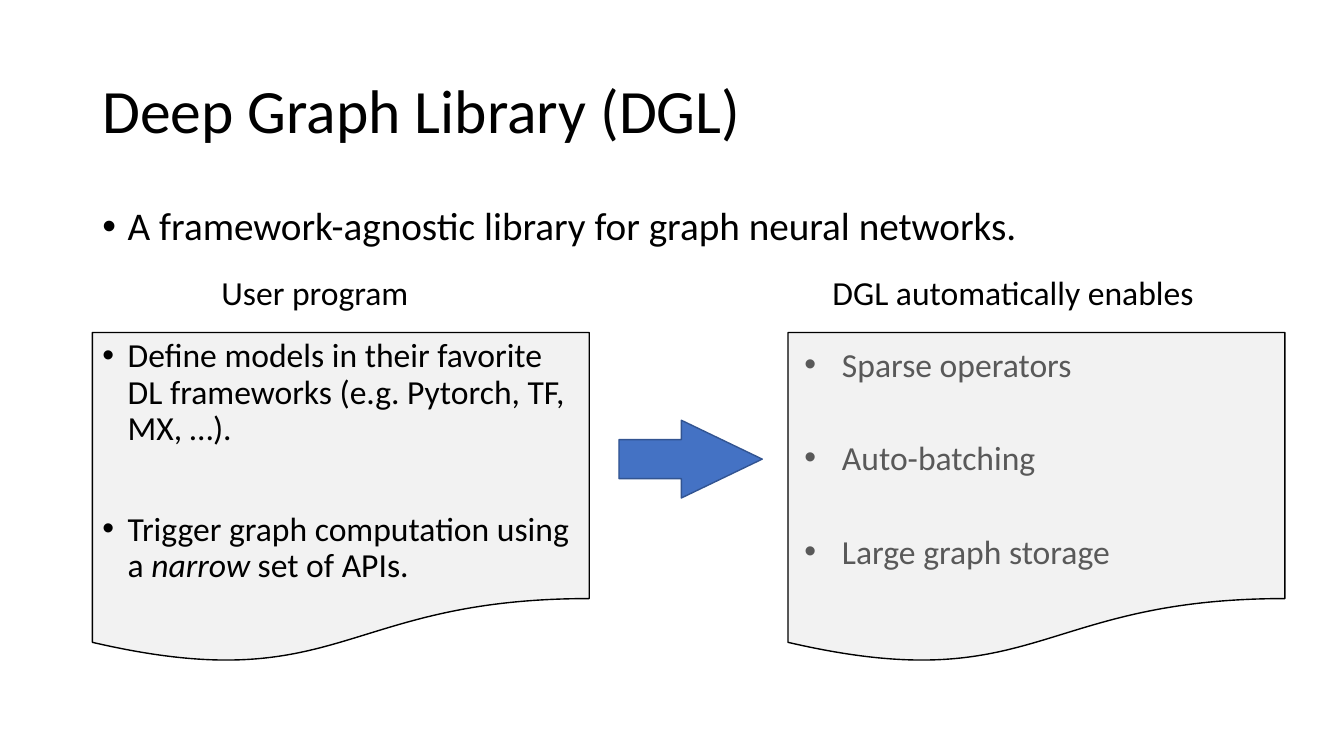
from lxml import etree
from pptx import Presentation
from pptx import util as u
from pptx.dml import color as dml
from pptx.enum import shapes, text
from pptx.oxml import ns


def rgb(value):
    return dml.RGBColor.from_string(value)


def write_text(paragraph, content, *, font="Calibri", size=24, color="000000",
               line_spacing=1.0, before=0, indent=None):
    """Fill a paragraph; *stars* mark italics and an indent in cm adds a bullet."""
    paragraph.line_spacing = line_spacing
    paragraph.space_before = u.Pt(before)
    for number, part in enumerate(content.split("*")):
        run = paragraph.add_run()
        run.text = part
        run.font.name = font
        run.font.size = u.Pt(size)
        run.font.italic = number % 2 == 1
        run.font.color.rgb = rgb(color)
    if indent:
        properties = paragraph._p.get_or_add_pPr()
        properties.set("marL", str(u.Cm(indent)))
        properties.set("indent", str(-u.Cm(indent)))
        bullet_font = etree.SubElement(properties, ns.qn("a:buFont"))
        bullet_font.set("typeface", "Arial")
        etree.SubElement(properties, ns.qn("a:buChar")).set("char", "•")


class SlideBuilder:
    def __init__(self, slide):
        self.slide = slide
        self.panel_fill = "F2F2F2"
        self.panel_line = "000000"
        self.accent = "4472C4"
        self.accent_line = "325491"

    def textbox(self, left, top, width, height, paragraphs, *, gap=0, wrap=True,
                anchor=text.MSO_ANCHOR.TOP, inset=(0.25, 0.13), **style):
        box = self.slide.shapes.add_textbox(
            u.Cm(left), u.Cm(top), u.Cm(width), u.Cm(height))
        frame = box.text_frame
        frame.word_wrap = wrap
        frame.auto_size = (text.MSO_AUTO_SIZE.NONE if wrap
                           else text.MSO_AUTO_SIZE.SHAPE_TO_FIT_TEXT)
        frame.vertical_anchor = anchor
        frame.margin_left = frame.margin_right = u.Cm(inset[0])
        frame.margin_top = frame.margin_bottom = u.Cm(inset[1])
        for number, content in enumerate(paragraphs):
            paragraph = frame.add_paragraph() if number else frame.paragraphs[0]
            write_text(paragraph, content, before=gap if number else 0, **style)

    def shape(self, kind, left, top, width, height, fill, line):
        shape = self.slide.shapes.add_shape(
            kind, u.Cm(left), u.Cm(top), u.Cm(width), u.Cm(height))
        shape.shadow.inherit = False
        shape.fill.solid()
        shape.fill.fore_color.rgb = rgb(fill)
        shape.line.color.rgb = rgb(line)
        shape.line.width = u.Pt(1)
        return shape

    def panel(self, left):
        self.shape(shapes.MSO_SHAPE.FLOWCHART_DOCUMENT, left, 8.38, 12.52, 8.36,
                   self.panel_fill, self.panel_line)

    def arrow(self, left, top, width, height):
        arrow = self.shape(shapes.MSO_SHAPE.RIGHT_ARROW, left, top, width, height,
                           self.accent, self.accent_line)
        arrow.adjustments[0] = 0.5
        arrow.adjustments[1] = 1.04

    def caption(self, left, width, content):
        self.textbox(left, 6.73, width, 1.27, [content], wrap=False)


def main():
    presentation = Presentation()
    presentation.slide_width = u.Cm(33.87)
    presentation.slide_height = u.Cm(19.05)
    builder = SlideBuilder(
        presentation.slides.add_slide(presentation.slide_layouts[6]))

    # Title and summary
    builder.textbox(2.33, 1.02, 29.21, 3.68, ["Deep Graph Library (DGL)"],
                    size=44, line_spacing=0.9, anchor=text.MSO_ANCHOR.MIDDLE)
    builder.textbox(2.33, 5.08, 29.21, 1.5,
                    ["A framework-agnostic library for graph neural networks."],
                    size=28, line_spacing=0.9, indent=0.64)

    # User program
    builder.panel(2.33)
    builder.textbox(2.33, 8.41, 12.52, 7.47, [
        "Define models in their favorite DL frameworks (e.g. Pytorch, TF, MX, …).",
        "Trigger graph computation using a *narrow* set of APIs.",
    ], gap=46, line_spacing=0.9, indent=0.64)
    builder.caption(5.33, 5.26, "User program")

    # From program to features
    builder.arrow(15.6, 10.59, 3.61, 1.96)

    # Features enabled by the library
    builder.panel(19.86)
    builder.textbox(19.94, 8.48, 12.47, 6.96, [
        "Sparse operators", "Auto-batching", "Large graph storage",
    ], gap=38, color="595959", indent=0.95, inset=(0.33, 0.18))
    builder.caption(20.73, 9.7, "DGL automatically enables")

    presentation.save("out.pptx")


if __name__ == "__main__":
    main()
